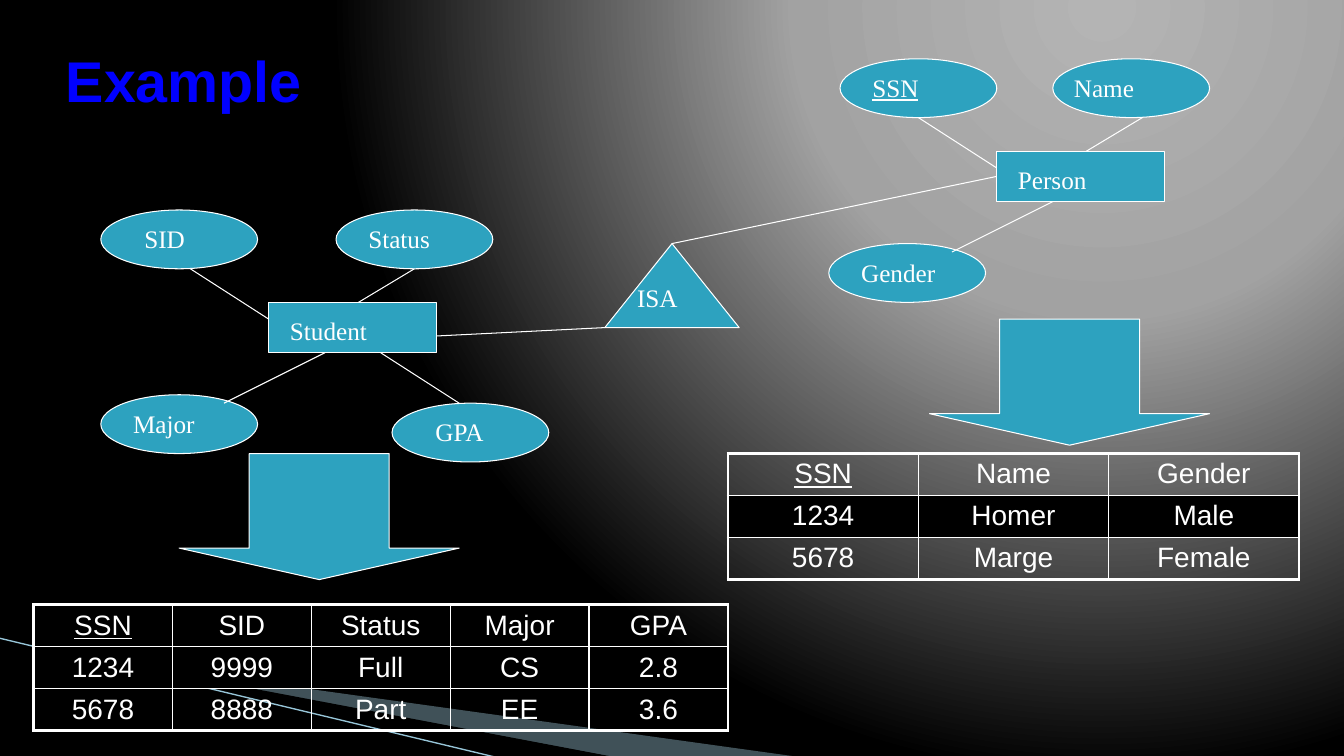
from pptx import Presentation, util as u
from pptx.dml.color import RGBColor
from pptx.enum import shapes, text
from pptx.oxml import parse_xml
from pptx.oxml.ns import nsdecls
from lxml import etree

COLORS = {"teal": "2DA2BF", "white": "FFFFFF", "black": "000000", "title": "0000FF",
          "wedge": "A0CBDC", "streak": "97C5D8",
          "glow": "B4B4B4", "halo": "A2A2A2"}
RGB = {name: RGBColor.from_string(value) for name, value in COLORS.items()}

deck = Presentation()
deck.slide_width, deck.slide_height = u.Emu(12192000), u.Emu(6858000)
slide = deck.slides.add_slide(deck.slide_layouts[6])

# Grid of 120 columns and 90 rows
COL, ROW = deck.slide_width / 120, deck.slide_height / 90


def grid(*lengths):
    """Turn alternating columns and rows into slide lengths."""
    return [u.Emu(round(n * (ROW if i % 2 else COL))) for i, n in enumerate(lengths)]


def add_line(ends, color, width):
    line = slide.shapes.add_connector(shapes.MSO_CONNECTOR.STRAIGHT, *ends)
    line.line.color.rgb, line.line.width = RGB[color], u.Pt(width)
    etree.SubElement(line._element.spPr, "{http://schemas.openxmlformats.org/drawingml/2006/main}effectLst")


# Background: glow from the upper right
slide.background.fill.solid()
bg = slide.element.xpath("p:cSld/p:bg/p:bgPr")[0]
stops = "".join(f'<a:gs pos="{pos}000"><a:srgbClr val="{COLORS[name]}"/></a:gs>'
                for pos, name in ((0, "glow"), (40, "halo"), (100, "black")))
bg.replace(bg[0], parse_xml(
    f'<a:gradFill {nsdecls("a")} rotWithShape="1"><a:gsLst>{stops}</a:gsLst><a:path path="circle">'
    '<a:fillToRect l="65000" t="0" r="0" b="98000"/></a:path></a:gradFill>'))

# Streaks in the lower left corner
for color, alpha, points in (
        ("wedge", 40, [(0.73, 6.51), (7.93, 7.51), (6.08, 7.51), (0.73, 6.5)]),
        ("black", 100, [(0.71, 6.49), (6.09, 7.51), (4.96, 7.52), (0.72, 6.5)])):
    outline = slide.shapes.build_freeform(*[round(n * 100) for n in points[0]], scale=9144)
    outline.add_line_segments([(round(x * 100), round(y * 100)) for x, y in points[1:]])
    streak = outline.convert_to_shape()
    streak.shadow.inherit = False
    streak.line.fill.background()
    streak.fill.solid()
    streak.fill.fore_color.rgb = RGB[color]
    tint = streak._element.spPr.xpath("a:solidFill/a:srgbClr")[0]
    tint.append(parse_xml(f'<a:alpha {nsdecls("a")} val="{alpha}000"/>'))
add_line([u.Inches(n) for n in (-0.01, 6.33, 4.95, 7.52)], "streak", 0.95)

# Relations: left, top, column width, rows of values
relations = [
    (3, 72, 12.4, ["SSN SID Status Major GPA", "1234 9999 Full CS 2.8", "5678 8888 Part EE 3.6"]),
    (65, 54, 17, ["SSN Name Gender", "1234 Homer Male", "5678 Marge Female"]),
]
for left, top, col_width, lines in relations:
    records = [line.split() for line in lines]
    last_row, last_col = len(records) - 1, len(records[0]) - 1
    relation = slide.shapes.add_table(
        last_row + 1, last_col + 1,
        *grid(left, top, col_width * (last_col + 1), 5 * (last_row + 1))).table
    relation.first_row = relation.horz_banding = False
    for r, record in enumerate(records):
        for c, value in enumerate(record):
            cell = relation.cell(r, c)
            cell.margin_left = cell.margin_right = u.Inches(0.13)
            cell.margin_top = cell.margin_bottom = u.Inches(0.05)
            if r == 1:
                cell.fill.solid()
                cell.fill.fore_color.rgb = RGB["black"]
            else:
                cell.fill.background()
            paragraph = cell.text_frame.paragraphs[0]
            paragraph.text = value
            paragraph.alignment = text.PP_ALIGN.CENTER
            font = paragraph.runs[0].font
            font.size, font.name = u.Pt(20), "Arial"
            font.color.rgb = RGB["white"]
            font.underline = value == "SSN"
            # Thick frame outside, thin rules inside
            outer = {"L": c == 0, "R": c == last_col, "T": r == 0, "B": r == last_row}
            for i, (side, thick) in enumerate(outer.items()):
                cell._tc.get_or_add_tcPr().insert(i, parse_xml(
                    f'<a:ln{side} {nsdecls("a")} w="{u.Pt(2.25 if thick else 1)}"><a:solidFill>'
                    f'<a:srgbClr val="{COLORS["white"]}"/></a:solidFill></a:ln{side}>'))

# Title
title = slide.shapes.add_textbox(*grid(5, 2, 108, 15)).text_frame
title.word_wrap, title.vertical_anchor = True, text.MSO_ANCHOR.MIDDLE
title.text = "Example"
font = title.paragraphs[0].runs[0].font
font.size, font.name, font.bold = u.Pt(41), "Arial", True
font.color.rgb = RGB["title"]

# Diagram parts: outline and size in grid units
KINDS = {"entity": (shapes.MSO_SHAPE.RECTANGLE, 15, 6),
         "attribute": (shapes.MSO_SHAPE.OVAL, 14, 7),
         "isa": (shapes.MSO_SHAPE.FLOWCHART_EXTRACT, 12, 10),
         "arrow": (shapes.MSO_SHAPE.DOWN_ARROW, 25, 15)}
# Kind, column, row, label, label column, label width
parts = [
    ("entity", 24, 36, "Student", 25, 13),
    ("attribute", 30, 25, "Status", 32, 11),
    ("attribute", 9, 25, "SID", 12, 10),
    ("attribute", 9, 47, "Major", 11, 10),
    ("attribute", 35, 48, "GPA", 38, 9),
    ("arrow", 16, 54, "", 0, 0),
    ("arrow", 83, 38, "", 0, 0),
    ("entity", 89, 18, "Person", 90, 13),
    ("attribute", 74, 29, "Gender", 76, 14),
    ("attribute", 75, 7, "SSN", 77, 10),
    ("attribute", 94, 7, "Name", 95, 11),
    ("isa", 54, 29, "ISA", 56, 11),
]
for kind, col, row, *_ in parts:
    preset, width, height = KINDS[kind]
    part = slide.shapes.add_shape(preset, *grid(col, row, width, height))
    part.shadow.inherit = False
    part.fill.solid()
    part.fill.fore_color.rgb = RGB["teal"]
    part.line.color.rgb, part.line.width = RGB["white"], u.Pt(0.75)
    if kind == "arrow":
        part.adjustments[0], part.adjustments[1] = 0.5, 0.25

# Links between the parts
for link in [(17, 32, 24, 38), (37, 32, 32, 36), (41, 48, 34, 42), (20, 48, 29, 42),
             (82, 14, 89, 20), (102, 14, 97, 18), (85, 30, 94, 24),
             (60, 29, 89, 21), (54, 39, 39, 40)]:
    add_line(grid(*link), "white", 0.75)

# Labels
for kind, _, row, name, label_col, label_width in parts:
    if name:
        label_row = row + (4 if kind == "isa" else 1)
        label = slide.shapes.add_textbox(*grid(label_col, label_row, label_width, 4.8)).text_frame
        label.word_wrap, label.auto_size = True, text.MSO_AUTO_SIZE.SHAPE_TO_FIT_TEXT
        label.text = name
        font = label.paragraphs[0].runs[0].font
        font.size, font.name = u.Pt(18), "Times New Roman"
        font.color.rgb = RGB["white"]
        font.underline = name == "SSN"

deck.save("out.pptx")
